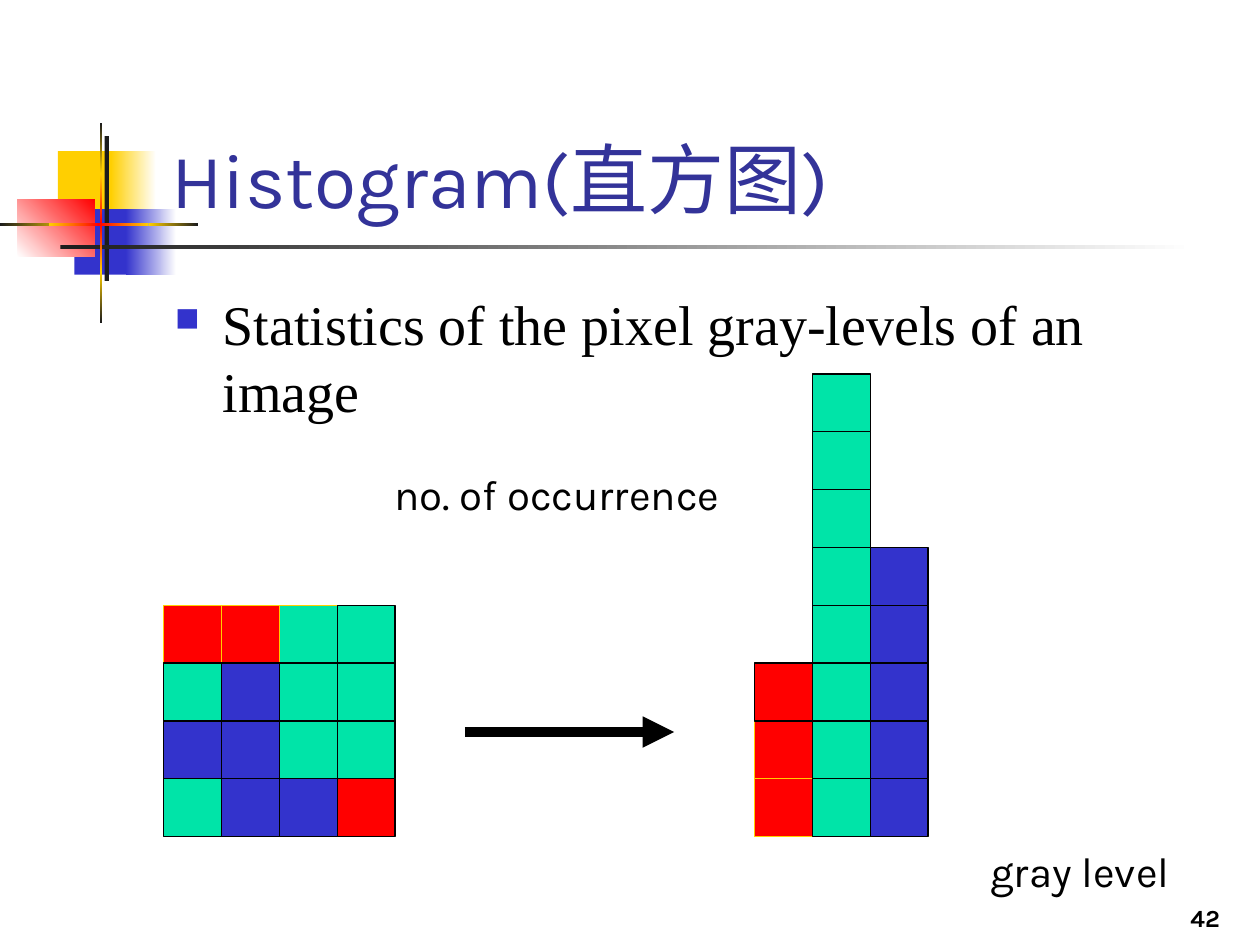
from lxml import etree
from pptx import Presentation
from pptx.dml.color import RGBColor
from pptx.enum.shapes import MSO_CONNECTOR, MSO_SHAPE
from pptx.enum.text import MSO_ANCHOR, PP_ALIGN
from pptx.oxml.ns import qn
from pptx.util import Inches, Pt

RECTANGLE = MSO_SHAPE.RECTANGLE
STRAIGHT = MSO_CONNECTOR.STRAIGHT
TOP, BOTTOM = MSO_ANCHOR.TOP, MSO_ANCHOR.BOTTOM
LEFT, RIGHT = PP_ALIGN.LEFT, PP_ALIGN.RIGHT

COLUMNS, ROWS = 100, 75
SLIDE_WIDTH, SLIDE_HEIGHT = Inches(10), Inches(7.5)

BLACK, CHARCOAL, WHITE = "000000", "1C1C1C", "FFFFFF"
YELLOW, RED, GREEN, BLUE = "FFCF01", "FF0000", "00E4A8", "3333CC"
TITLE_BLUE = "333399"

LEVELS = {"R": RED, "G": GREEN, "B": BLUE}
IMAGE = ["RRGG", "GBGG", "BBGG", "GBBR"]
CELL = 4.59
BASELINE = 66.4
IMAGE_LEFT, BARS_LEFT = 13, 59.9


def color(hex_string):
    return RGBColor.from_string(hex_string)


class SlideBuilder:
    """Draws on one slide; lengths are columns and rows of a 100 by 75 grid."""

    font = "Karla"

    def __init__(self, presentation):
        self.slide = presentation.slides.add_slide(presentation.slide_layouts[6])
        self.column = presentation.slide_width / COLUMNS
        self.row = presentation.slide_height / ROWS

    def place(self, left, top, width, height):
        return (round(left * self.column), round(top * self.row),
                round(width * self.column), round(height * self.row))

    def rectangle(self, left, top, width, height, fill, outline=None):
        shape = self.slide.shapes.add_shape(
            RECTANGLE, *self.place(left, top, width, height))
        shape.shadow.inherit = False
        shape.fill.solid()
        shape.fill.fore_color.rgb = color(fill)
        if outline:
            shape.line.color.rgb = color(outline)
            shape.line.width = Pt(0.75)
        else:
            shape.line.fill.background()
        return shape

    def gradient(self, left, top, width, height, colors, angle=0):
        """Draw a rectangle with evenly spaced stops; angle is counterclockwise."""
        shape = self.rectangle(left, top, width, height, colors[0])
        shape.fill.gradient()
        shape.fill.gradient_angle = angle
        stops = shape._element.spPr.find(qn("a:gradFill")).find(qn("a:gsLst"))
        for stop in list(stops):
            stops.remove(stop)
        for index, stop_color in enumerate(colors):
            position = 100000 * index // (len(colors) - 1)
            stop = etree.SubElement(stops, qn("a:gs"), pos=str(position))
            etree.SubElement(stop, qn("a:srgbClr"), val=stop_color)

    def text(self, left, top, width, height, words, size, font=None,
             ink=BLACK, anchor=TOP, align=LEFT, wrap=True, bold=False, bullet=None):
        box = self.slide.shapes.add_textbox(*self.place(left, top, width, height))
        frame = box.text_frame
        frame.word_wrap = wrap
        frame.vertical_anchor = anchor
        frame.text = words
        paragraph = frame.paragraphs[0]
        paragraph.alignment = align
        if bullet:
            self.add_bullet(paragraph, bullet)
        run_font = paragraph.runs[0].font
        run_font.name = font or self.font
        run_font.size = Pt(size)
        run_font.bold = bold
        run_font.color.rgb = color(ink)

    def add_bullet(self, paragraph, bullet_color):
        properties = paragraph._p.get_or_add_pPr()
        indent = Inches(0.38)
        properties.set("marL", str(indent))
        properties.set("indent", str(-indent))
        tint = etree.SubElement(properties, qn("a:buClr"))
        etree.SubElement(tint, qn("a:srgbClr"), val=bullet_color)
        etree.SubElement(properties, qn("a:buSzPct"), val="60000")
        etree.SubElement(properties, qn("a:buChar"), char="■")

    def arrow(self, left, right, height, width):
        start_x, y, length, _ = self.place(left, height, right - left, 0)
        connector = self.slide.shapes.add_connector(
            STRAIGHT, start_x, y, start_x + length, y)
        connector.line.color.rgb = color(BLACK)
        connector.line.width = Pt(width)
        etree.SubElement(connector.line._get_or_add_ln(), qn("a:tailEnd"),
                         type="triangle")
        etree.SubElement(connector._element.spPr, qn("a:effectLst"))

    def cell(self, left, column, level, fill, highlighted):
        """Draw one pixel; level counts upward from the shared baseline."""
        self.rectangle(left + column * CELL, BASELINE - (level + 1) * CELL,
                       CELL, CELL, fill, YELLOW if highlighted else BLACK)


def draw_ornament(builder):
    builder.rectangle(4.6, 12, 4.8, 5.2, YELLOW)
    builder.gradient(8.8, 12, 3.6, 5.2, [YELLOW, WHITE])
    builder.rectangle(5.9, 16.6, 4.6, 5.2, BLUE)
    builder.gradient(10, 16.6, 4, 5.2, [BLUE, WHITE])
    builder.gradient(1.4, 15.8, 6.1, 4.6, [WHITE, RED], 45)
    builder.rectangle(8.3, 10.8, 0.35, 11.5, CHARCOAL)
    builder.gradient(4.8, 19.45, 90, 0.35, [CHARCOAL, WHITE])

    fade_in = [CHARCOAL, YELLOW]
    glow = [YELLOW, RED, YELLOW]
    fade_out = fade_in[::-1]
    for top, height, colors in [(21.6, 4, fade_out), (9.8, 4, fade_in),
                                (13.8, 7.8, glow)]:
        builder.gradient(7.9, top, 0.22, height, colors, 270)
    for left, width, colors in [(0, 5.9, fade_in), (11.8, 3.9, fade_out),
                                (3.9, 7.9, glow)]:
        builder.gradient(left, 17.7, width, 0.22, colors)


def draw_image(builder):
    for row, pixels in enumerate(IMAGE):
        for column, level in enumerate(pixels):
            builder.cell(IMAGE_LEFT, column, len(IMAGE) - 1 - row,
                         LEVELS[level], row == 0 and column < 3)


def draw_histogram(builder):
    pixels = "".join(IMAGE)
    for column, (level, fill) in enumerate(LEVELS.items()):
        for height in range(pixels.count(level)):
            builder.cell(BARS_LEFT, column, height, fill,
                         level == "R" and height < 2)


def main():
    presentation = Presentation()
    presentation.slide_width, presentation.slide_height = SLIDE_WIDTH, SLIDE_HEIGHT
    builder = SlideBuilder(presentation)
    draw_ornament(builder)
    builder.text(77, 69.5, 20.8, 5, "42", 14, anchor=BOTTOM, align=RIGHT, bold=True)
    builder.text(12.6, 2.3, 85.2, 16, "Histogram(直方图)", 44,
                 ink=TITLE_BLUE, anchor=BOTTOM)
    builder.text(12.9, 22.5, 85, 45, "Statistics of the pixel gray-levels of an image",
                 32, font="Times New Roman", bullet=BLUE)
    builder.text(77.6, 66.6, 16.2, 5, "gray level", 24, wrap=False)
    builder.text(30.3, 36.7, 33.4, 5, "no. of occurrence", 24)
    draw_image(builder)
    builder.arrow(36.9, 53.5, 58.1, 6)
    draw_histogram(builder)
    presentation.save("out.pptx")


if __name__ == "__main__":
    main()
